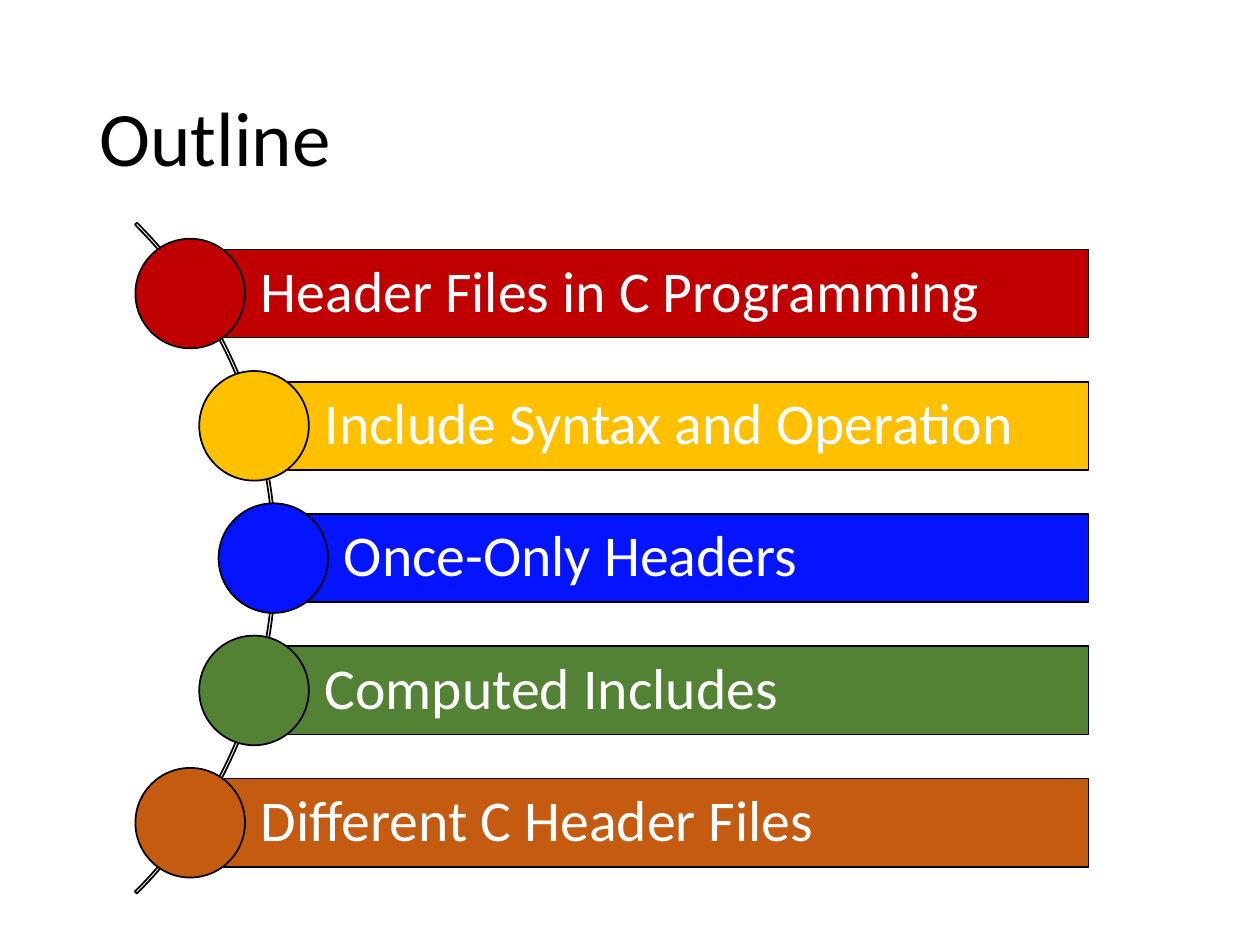
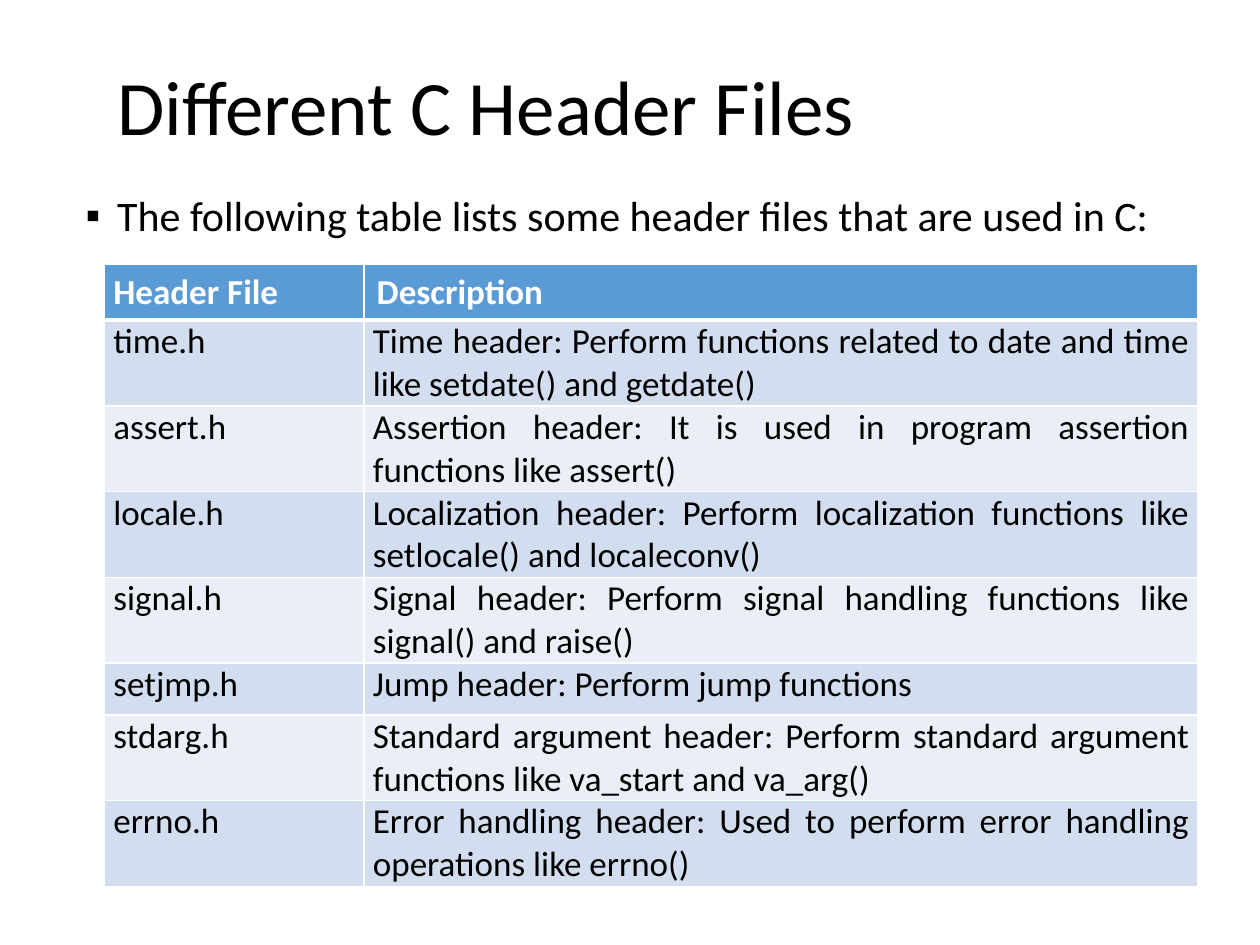
from math import sqrt

from lxml import etree
from pptx import Presentation
from pptx.dml.color import RGBColor
from pptx.enum.shapes import MSO_SHAPE
from pptx.enum.text import MSO_ANCHOR, PP_ALIGN
from pptx.oxml.ns import qn
from pptx.util import Inches, Pt

# Shared style
FONT = "Calibri"
BLACK = RGBColor(0x00, 0x00, 0x00)
WHITE = RGBColor(0xFF, 0xFF, 0xFF)
HEADER_BLUE = RGBColor(0x5B, 0x9B, 0xD5)
BAND_DARK = RGBColor(0xD2, 0xDE, 0xEF)
BAND_LIGHT = RGBColor(0xEA, 0xEF, 0xF7)
RED = RGBColor(0xC0, 0x00, 0x00)
GOLD = RGBColor(0xFF, 0xC0, 0x00)
BLUE = RGBColor(0x04, 0x14, 0xFF)
GREEN = RGBColor(0x54, 0x82, 0x35)
ORANGE = RGBColor(0xC5, 0x5A, 0x11)

# Content
OUTLINE = [
    ("Header Files in C Programming", RED),
    ("Include Syntax and Operation", GOLD),
    ("Once-Only Headers", BLUE),
    ("Computed Includes", GREEN),
    ("Different C Header Files", ORANGE),
]
INTRO = "The following table lists some header files that are used in C:"
HEADER_FILES = [
    ("Header File", "Description"),
    ("time.h", "Time header: Perform functions related to date and time like setdate() and getdate()"),
    ("assert.h", "Assertion header: It is used in program assertion functions like assert()"),
    ("locale.h", "Localization header: Perform localization functions like setlocale() and localeconv()"),
    ("signal.h", "Signal header: Perform signal handling functions like signal() and raise()"),
    ("setjmp.h", "Jump header: Perform jump functions"),
    ("stdarg.h", "Standard argument header: Perform standard argument functions like va_start and va_arg()"),
    ("errno.h", "Error handling header: Used to perform error handling operations like errno()"),
]

# Outline geometry, in inches
MIDDLE_Y = 4.43
STEP = 1.05
CURVE_X, CURVE_R = -1.5, 3.67
CIRCLE = 0.87
BAR_H, BAR_RIGHT = 0.7, 8.64
ARC = 7.53


def place(sp, left, top, width, height):
    sp.left, sp.top = Inches(left), Inches(top)
    sp.width, sp.height = Inches(width), Inches(height)


def style_paragraph(p, size, color, bold=False, align=PP_ALIGN.LEFT, spacing=0.9):
    p.alignment = align
    p.line_spacing = spacing
    p.space_before = Pt(0)
    for r in p.runs:
        r.font.name = FONT
        r.font.size = Pt(size)
        r.font.bold = bold
        r.font.color.rgb = color


def add_titled_slide(prs, layout, title, box):
    s = prs.slides.add_slide(prs.slide_layouts[layout])
    place(s.shapes.title, *box)
    tf = s.shapes.title.text_frame
    tf.text = title
    tf.vertical_anchor = MSO_ANCHOR.MIDDLE
    style_paragraph(tf.paragraphs[0], 44, BLACK)
    return s


def add_outlined(s, kind, box, color=None):
    sp = s.shapes.add_shape(kind, *map(Inches, box))
    sp.shadow.inherit = False
    sp.line.color.rgb = BLACK
    sp.line.width = Pt(1)
    if color is None:
        sp.fill.background()
    else:
        sp.fill.solid()
        sp.fill.fore_color.rgb = color
    return sp


def set_borders(cell, widths):
    tcPr = cell._tc.get_or_add_tcPr()
    for side, width in zip(("L", "R", "T", "B"), widths):
        ln = etree.SubElement(tcPr, qn(f"a:ln{side}"), w=str(Pt(width)))
        fill = etree.SubElement(ln, qn("a:solidFill"))
        etree.SubElement(fill, qn("a:srgbClr"), val=str(WHITE))


def build_outline(prs):
    s = add_titled_slide(prs, 5, "Outline", (0.69, 0.4, 8.62, 1.45))

    # Arc behind the bars
    arc = add_outlined(s, MSO_SHAPE.BLOCK_ARC, (-5.34, MIDDLE_Y - ARC / 2, ARC, ARC))
    for i, value in enumerate((189, 27, 0.003)):
        arc.adjustments[i] = value

    # Bars start at the centres of circles that follow the curve
    for i, (topic, color) in enumerate(OUTLINE):
        dy = (i - (len(OUTLINE) - 1) / 2) * STEP
        x, y = CURVE_X + sqrt(CURVE_R ** 2 - dy ** 2), MIDDLE_Y + dy
        bar = add_outlined(s, MSO_SHAPE.RECTANGLE,
                           (x, y - BAR_H / 2, BAR_RIGHT - x, BAR_H), color)
        tf = bar.text_frame
        tf.text = topic
        tf.word_wrap = True
        tf.vertical_anchor = MSO_ANCHOR.MIDDLE
        tf.margin_left = Inches(0.56)
        tf.margin_right = tf.margin_top = tf.margin_bottom = Inches(0.09)
        style_paragraph(tf.paragraphs[0], 33, WHITE)
        add_outlined(s, MSO_SHAPE.OVAL,
                     (x - CIRCLE / 2, y - CIRCLE / 2, CIRCLE, CIRCLE), color)


def build_header_files(prs):
    s = add_titled_slide(prs, 1, "Different C Header Files", (0.83, 0.25, 8.5, 1.25))

    # Introductory bullet
    body = s.placeholders[1]
    place(body, 0.58, 1.5, 9.17, 5.85)
    body.text_frame.text = INTRO
    p = body.text_frame.paragraphs[0]
    pPr = p._p.get_or_add_pPr()
    pPr.set("marL", str(Inches(0.25)))
    pPr.set("indent", str(Inches(-0.25)))
    etree.SubElement(pPr, qn("a:buChar"), char="▪")
    style_paragraph(p, 24, BLACK)

    # Table of header files
    frame = s.shapes.add_table(len(HEADER_FILES), 2, Inches(0.83), Inches(2.1),
                               Inches(8.68), Inches(4.84))
    table = frame.table
    for column, width in zip(table.columns, (2.06, 6.62)):
        column.width = Inches(width)
    for i, row in enumerate(HEADER_FILES):
        table.rows[i].height = Inches(0.41 if i else 0.38)
        band = (BAND_DARK if i % 2 else BAND_LIGHT) if i else HEADER_BLUE
        for j, text in enumerate(row):
            cell = table.cell(i, j)
            set_borders(cell, (1, 1, 3 if i == 1 else 1, 1 if i else 3))
            cell.fill.solid()
            cell.fill.fore_color.rgb = band
            cell.text = text
            plain_header = i == 0 and j == 1
            if not plain_header:
                cell.margin_left = cell.margin_right = Inches(0.07)
                cell.margin_top = cell.margin_bottom = 0
            cell.vertical_anchor = MSO_ANCHOR.TOP if i else MSO_ANCHOR.MIDDLE
            style_paragraph(cell.text_frame.paragraphs[0], 20, BLACK if i else WHITE,
                            bold=i == 0, spacing=1.0,
                            align=PP_ALIGN.LEFT if plain_header else PP_ALIGN.JUSTIFY)
    frame.height = Inches(4.84)


def main():
    prs = Presentation()
    prs.slide_width, prs.slide_height = Inches(10), Inches(7.5)
    build_outline(prs)
    build_header_files(prs)
    prs.save("out.pptx")


if __name__ == "__main__":
    main()
